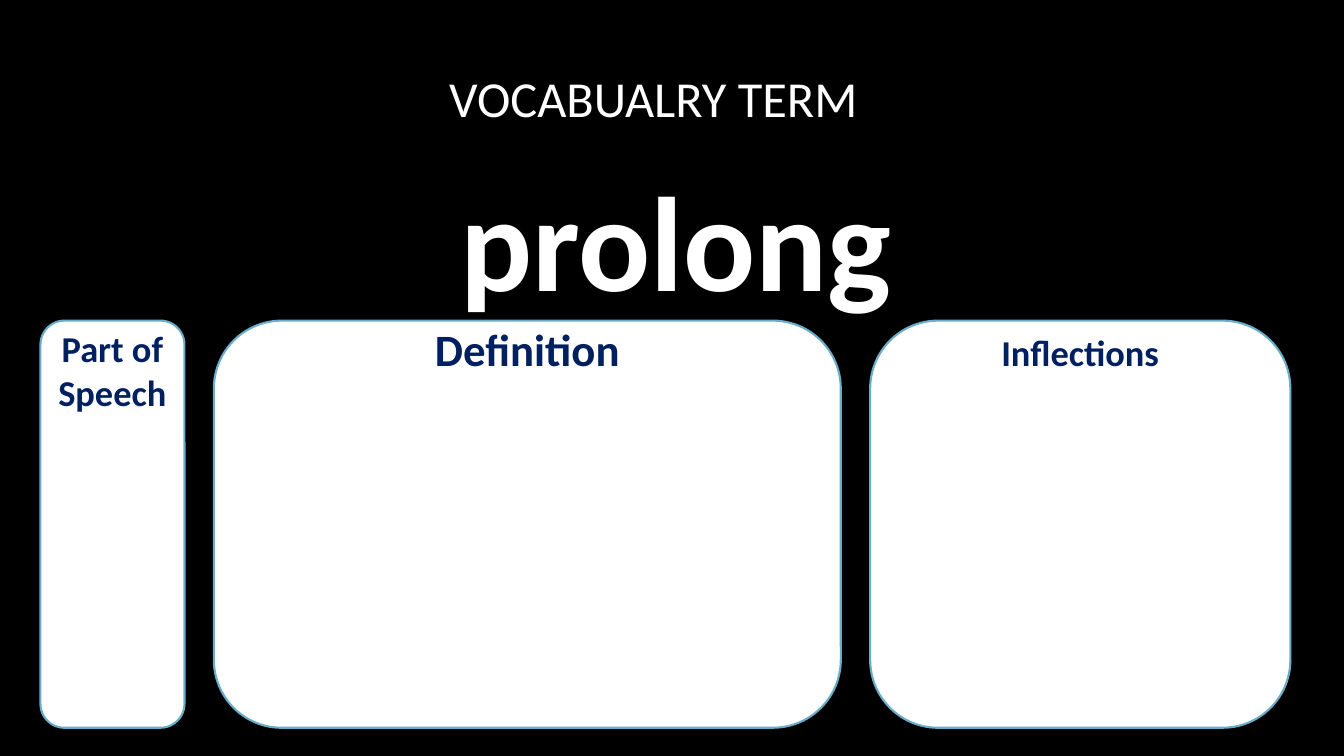
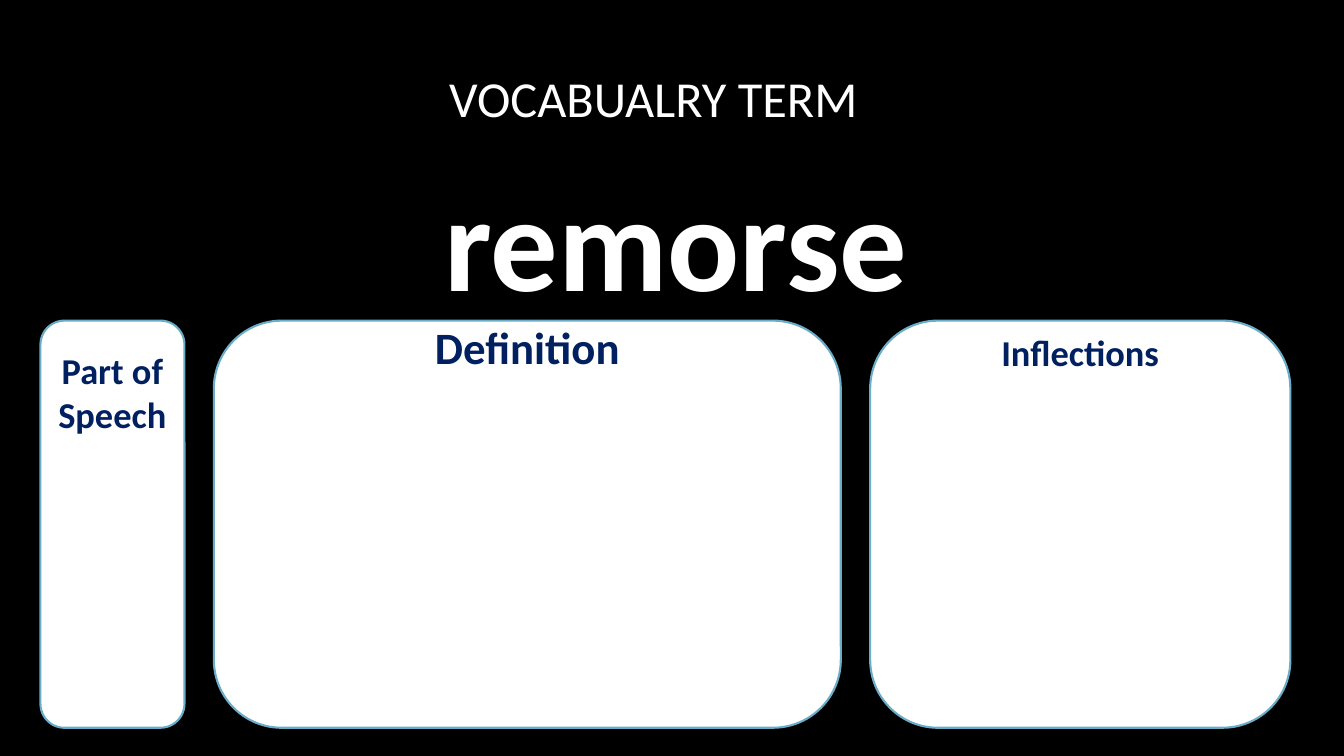
from pptx import Presentation
from pptx.dml.color import RGBColor
from pptx.enum.shapes import MSO_SHAPE
from pptx.enum.text import MSO_ANCHOR, PP_ALIGN
from pptx.util import Cm, Pt

HUES = {"back": "000000", "light": "FFFFFF", "edge": "6AADC8", "label": "002060"}
LEFT, WIDE = 2.97, 28.14
TOP, TALL, GAP = 8.08, 10.26, 0.74

# label, card width, text size
CARDS = [("Part of Speech", 3.63, 26), ("Definition", 15.8, 32), ("Inflections", 10.59, 26)]
# term, distance from card top to the middle of each label
TERMS = [("prolong", (1.24, 0.71, 0.78)), ("remorse", (1.79, 0.66, 0.78))]


def hue(name):
    return RGBColor.from_string(HUES[name])


class Deck:
    def __init__(self):
        self.prs = Presentation()
        self.prs.slide_width, self.prs.slide_height = Cm(33.87), Cm(19.05)
        fill = self.prs.slide_master.background.fill
        fill.solid()
        fill.fore_color.rgb = hue("back")
        self.slide = None

    def add(self):
        self.slide = self.prs.slides.add_slide(self.prs.slide_layouts[5])

    def label(self, shape, text, size, tone, bold=False, **pads):
        """Put one centred paragraph in a shape; pads are margins in cm."""
        frame = shape.text_frame
        frame.word_wrap = True
        frame.vertical_anchor = MSO_ANCHOR.MIDDLE
        for side, pad in pads.items():
            setattr(frame, f"margin_{side}", Cm(pad))
        para = frame.paragraphs[0]
        para.alignment = PP_ALIGN.CENTER
        run = para.add_run()
        run.text = text
        style = {"name": "Calibri", "size": Pt(size), "bold": bold}
        for key, value in style.items():
            setattr(run.font, key, value)
        run.font.color.rgb = hue(tone)

    def title(self, text):
        shape = self.slide.shapes.title
        place = {"left": LEFT, "top": 1.17, "width": WIDE, "height": 2.44}
        for key, value in place.items():
            setattr(shape, key, Cm(value))
        self.label(shape, text, 36, "light", top=0.23, right=1.4)

    def term(self, text):
        box = self.slide.shapes.add_textbox(Cm(LEFT), Cm(3.61), Cm(WIDE), Cm(4.47))
        self.label(box, text, 96, "light", True, top=0.43)

    def card(self, left, width, text, size, mid):
        """Draw a rounded card whose label is centred mid cm below its top."""
        card = self.slide.shapes.add_shape(
            MSO_SHAPE.ROUNDED_RECTANGLE, Cm(left), Cm(TOP), Cm(width), Cm(TALL))
        card.shadow.inherit = False
        card.fill.solid()
        card.fill.fore_color.rgb = hue("light")
        card.line.color.rgb = hue("edge")
        card.line.width = Pt(1.5)
        self.label(card, text, size, "label", True, top=0, bottom=TALL - 2 * mid)


def main():
    deck = Deck()
    for term, mids in TERMS:
        deck.add()
        deck.title("VOCABUALRY TERM")
        deck.term(term)
        left = 1.02
        for (text, width, size), mid in zip(CARDS, mids):
            deck.card(left, width, text, size, mid)
            left += width + GAP
    deck.prs.save("out.pptx")


if __name__ == "__main__":
    main()
